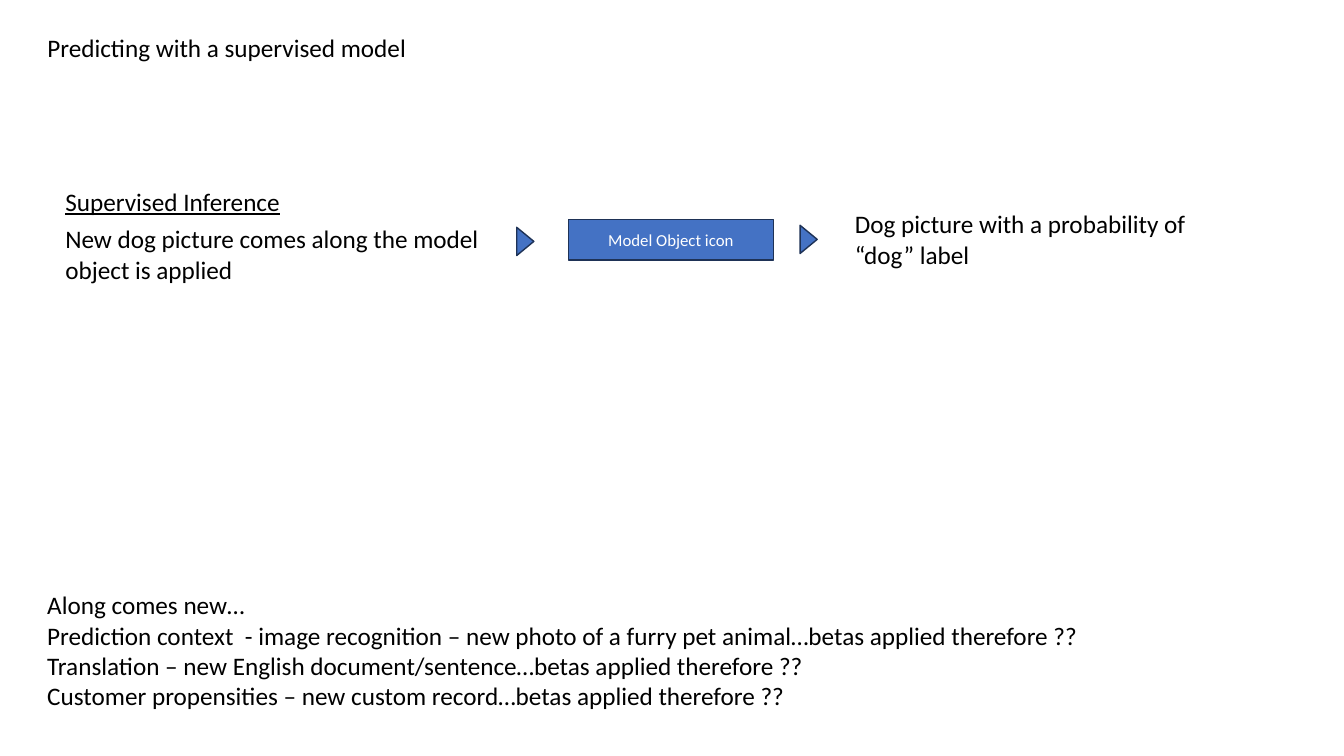
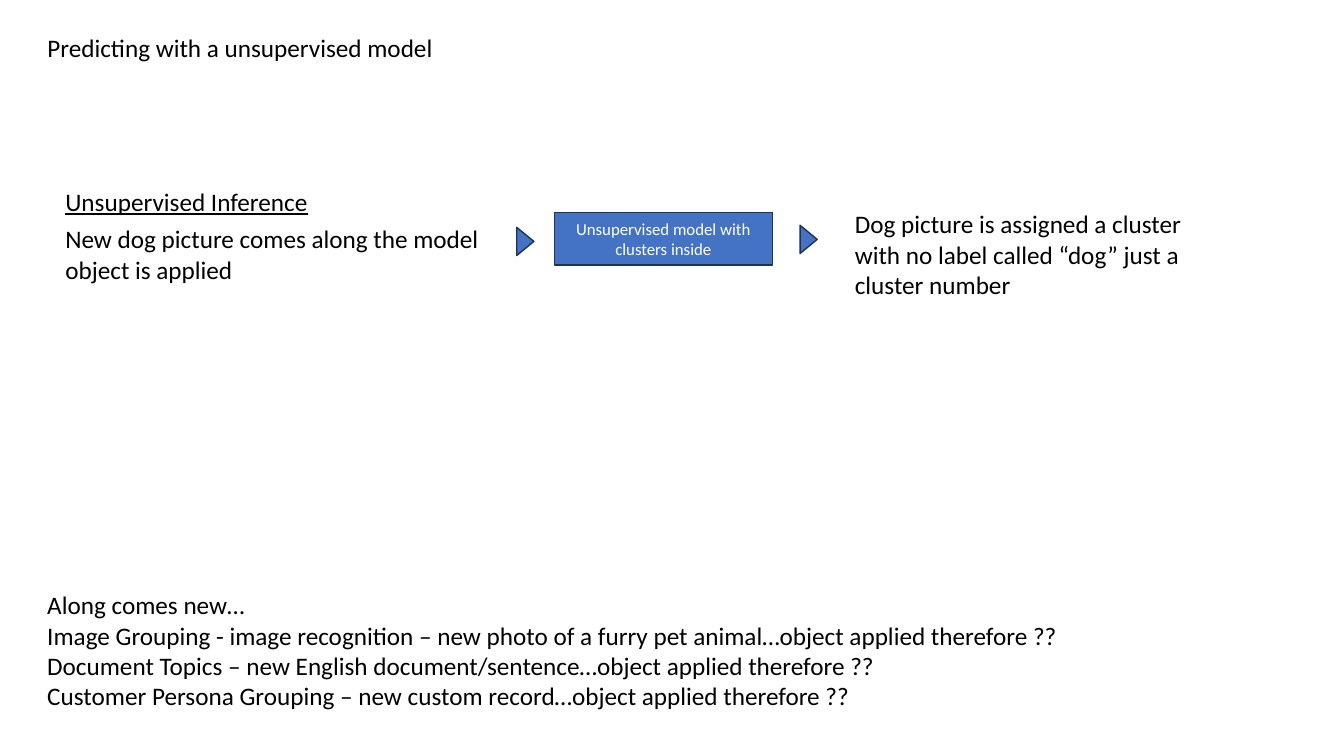
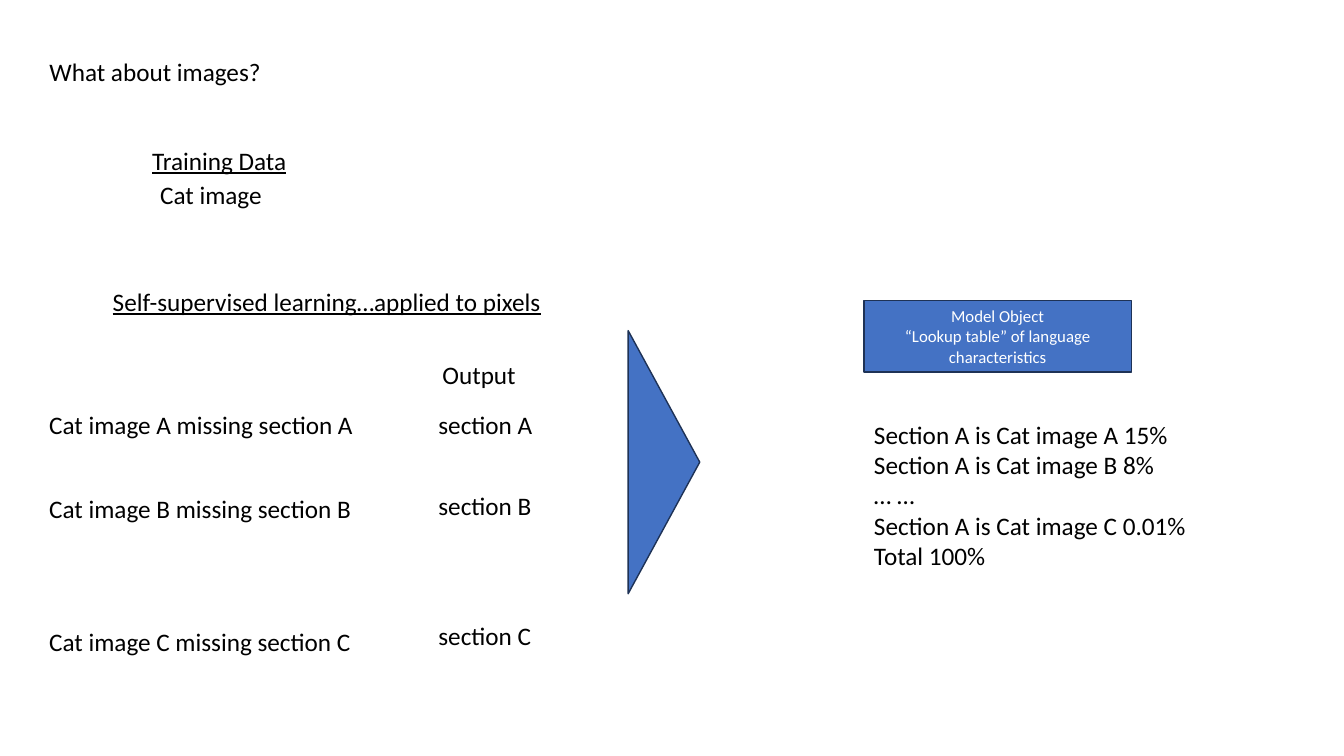
from pptx import Presentation
from pptx.dml.color import RGBColor
from pptx.enum.shapes import MSO_SHAPE
from pptx.enum.text import MSO_ANCHOR, MSO_AUTO_SIZE, PP_ALIGN
from pptx.util import Inches, Pt

BLUE = RGBColor(0x44, 0x72, 0xC4)
NAVY = RGBColor(0x1E, 0x32, 0x56)
BLACK = RGBColor(0x00, 0x00, 0x00)
WHITE = RGBColor(0xFF, 0xFF, 0xFF)
RECT, WEDGE = MSO_SHAPE.RECTANGLE, MSO_SHAPE.ISOSCELES_TRIANGLE
TOP, MIDDLE = MSO_ANCHOR.TOP, MSO_ANCHOR.MIDDLE
LEFT, CENTER = PP_ALIGN.LEFT, PP_ALIGN.CENTER
GROW, FIXED = MSO_AUTO_SIZE.SHAPE_TO_FIT_TEXT, MSO_AUTO_SIZE.NONE
TITLE_ONLY = 5
LINE = 0.4  # height of a box with one line of text


class Deck:
    """Holds the style, the presentation and the slide being filled."""

    body = {"name": "Calibri", "size": Pt(18), "bold": False}
    small = {"name": "Calibri", "size": Pt(12), "bold": False}

    def __init__(self):
        self.file = Presentation()
        self.file.slide_width = Inches(13.33)
        self.file.slide_height = Inches(7.5)

    def fill(self, shape, lines, style, color, align, **frame):
        """Put lines of text into a shape and format them."""
        text = shape.text_frame
        text.text = "\n".join(lines)
        for key, value in frame.items():
            setattr(text, key, value)
        for para in text.paragraphs:
            para.alignment = align
            for run in para.runs:
                for key, value in style.items():
                    setattr(run.font, key, value)
                run.font.color.rgb = color

    def start(self, title, x, y, w):
        layout = self.file.slide_layouts[TITLE_ONLY]
        self.slide = self.file.slides.add_slide(layout)
        head = self.slide.shapes.title
        head.left, head.top = Inches(x), Inches(y)
        head.width, head.height = Inches(w), Inches(LINE)
        self.fill(head, [title], self.body, BLACK, LEFT, word_wrap=False,
                  auto_size=GROW, vertical_anchor=TOP)

    def text(self, lines, x, y, w, h=LINE, wrap=False, line=False):
        box = self.slide.shapes.add_textbox(
            Inches(x), Inches(y), Inches(w), Inches(h))
        self.fill(box, lines, {**self.body, "underline": line}, BLACK, LEFT,
                  word_wrap=wrap, auto_size=GROW)

    def shape(self, kind, x, y, w, h):
        item = self.slide.shapes.add_shape(
            kind, Inches(x), Inches(y), Inches(w), Inches(h))
        item.shadow.inherit = False
        item.fill.solid()
        item.fill.fore_color.rgb = BLUE
        item.line.color.rgb = NAVY
        item.line.width = Pt(1)
        return item

    def block(self, lines, x, y, w, h):
        self.fill(self.shape(RECT, x, y, w, h), lines, self.small, WHITE,
                  CENTER, word_wrap=True, auto_size=FIXED,
                  vertical_anchor=MIDDLE)

    def wedge(self, x, y, w, h):
        """Add a triangle that points right; the box is that before turning."""
        self.shape(WEDGE, x, y, w, h).rotation = 90

    def flow(self, title, head, model, result, notes):
        """Add a slide that leads from a new picture through a model."""
        self.start(title[0], 0.37, 0.27, title[1])
        self.text([head[0]], 0.55, 1.8, head[1], line=True)
        self.text(["New dog picture comes along the model object is applied"],
                  0.55, 2.17, 4.56, 0.71, wrap=True)
        self.wedge(5.07, 2.31, 0.28, 0.17)
        self.block([model[0]], *model[1:])
        self.wedge(7.88, 2.29, 0.28, 0.17)
        self.text([result[0]], 8.38, 2.02, 3.75, result[1], wrap=True)
        self.text(["Along comes new…", *notes[0]], 0.37, 5.8, notes[1], 1.31)

    def images(self):
        self.start("What about images?", 0.39, 0.51, 2.32)
        self.text(["Training Data"], 1.41, 1.39, 1.55, line=True)
        self.text(["Cat image"], 1.49, 1.73, 1.22)
        self.text(["Self-supervised learning…applied to pixels"],
                  1.02, 2.79, 4.5, line=True)
        self.text(["Output"], 4.29, 3.52, 0.94)
        rows = (("A", 4.01, 4.01), ("B", 4.84, 4.82), ("C", 6.16, 6.11))
        for mark, top, out in rows:
            self.text([f"Cat image {mark} missing section {mark}"],
                      0.39, top, 3.24)
            self.text([f"section {mark}"], 4.25, out, 1.16, wrap=True)
        self.wedge(5.28, 4.23, 2.61, 0.71)
        self.block(["Model Object",
                    "“Lookup table” of language characteristics"],
                   8.57, 2.98, 2.65, 0.71)
        self.text(["Section A is Cat image A 15%",
                   "Section A is Cat image B 8%",
                   "… …",
                   "Section A is Cat image C 0.01%",
                   "Total 100%"], 8.57, 4.11, 3.33, 1.62)


def main():
    deck = Deck()
    deck.flow(
        ("Predicting with a supervised model", 3.81),
        ("Supervised Inference", 2.36),
        ("Model Object icon", 5.64, 2.18, 2.03, 0.4),
        ("Dog picture with a probability of “dog” label", 0.71),
        (["Prediction context  - image recognition – new photo of a furry "
          "pet animal…betas applied therefore ??",
          "Translation – new English document/sentence…betas applied "
          "therefore ??",
          "Customer propensities – new custom record…betas applied "
          "therefore ??"], 10.55))
    deck.flow(
        ("Predicting with a unsupervised model", 4.07),
        ("Unsupervised Inference", 2.63),
        ("Unsupervised model with clusters inside", 5.5, 2.11, 2.16, 0.52),
        ("Dog picture is assigned a cluster with no label called “dog” "
         "just a cluster number", 1.01),
        (["Image Grouping - image recognition – new photo of a furry "
          "pet animal…object applied therefore ??",
          "Document Topics – new English document/sentence…object applied "
          "therefore ??",
          "Customer Persona Grouping – new custom record…object applied "
          "therefore ??"], 10.29))
    deck.images()
    deck.file.save("out.pptx")


if __name__ == "__main__":
    main()
